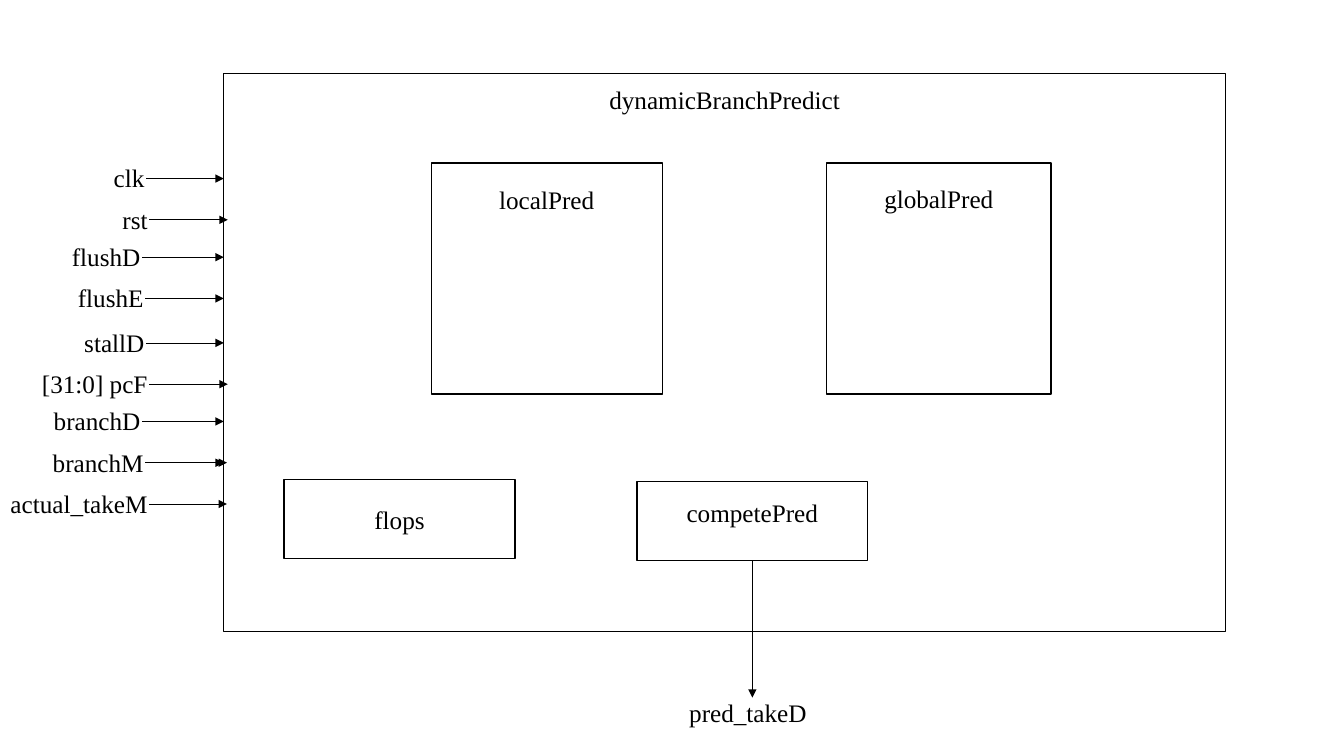
from lxml import etree
from pptx import Presentation
from pptx.dml.color import RGBColor
from pptx.enum.shapes import MSO_CONNECTOR, MSO_SHAPE
from pptx.enum.text import MSO_ANCHOR, PP_ALIGN
from pptx.oxml.ns import qn
from pptx.util import Cm, Pt

RECTANGLE = MSO_SHAPE.RECTANGLE
STRAIGHT = MSO_CONNECTOR.STRAIGHT
TOP, MIDDLE = MSO_ANCHOR.TOP, MSO_ANCHOR.MIDDLE
CENTER, RIGHT = PP_ALIGN.CENTER, PP_ALIGN.RIGHT
BOTTOM_SITE = 2

THEME = {
    "ink": RGBColor(0x00, 0x00, 0x00),
    "paper": RGBColor(0xFF, 0xFF, 0xFF),
    "font": "Times New Roman",
    "size": Pt(18),
    "box_line": Pt(1),
    "arrow_line": Pt(0.5),
}

presentation = Presentation()
presentation.slide_width, presentation.slide_height = Cm(33.87), Cm(19.05)
slide = presentation.slides.add_slide(presentation.slide_layouts[6])


def write_text(shape, text, alignment, anchor=TOP, inset=0.13):
    frame = shape.text_frame
    frame_format = {
        "word_wrap": True, "vertical_anchor": anchor, "margin_left": 0,
        "margin_top": Cm(inset), "margin_bottom": Cm(0.13),
    }
    for name, value in frame_format.items():
        setattr(frame, name, value)
    paragraph = frame.paragraphs[0]
    paragraph.alignment = alignment
    run = paragraph.add_run()
    run.text = text
    for name, value in {"name": THEME["font"], "size": THEME["size"]}.items():
        setattr(run.font, name, value)
    run.font.color.rgb = THEME["ink"]


def add_arrow(start_x, start_y, end_x, end_y):
    arrow = slide.shapes.add_connector(
        STRAIGHT, Cm(start_x), Cm(start_y), Cm(end_x), Cm(end_y))
    arrow.line.color.rgb = THEME["ink"]
    arrow.line.width = THEME["arrow_line"]
    etree.SubElement(arrow.line._get_or_add_ln(), qn("a:tailEnd"), type="triangle")
    etree.SubElement(arrow._element.spPr, qn("a:effectLst"))
    return arrow


# Module boxes: name, left, top, width, height, anchor, top inset
MODULES = [
    ("dynamicBranchPredict", 5.64, 1.85, 25.25, 14.07, TOP, 0.28),
    ("localPred", 10.87, 4.11, 5.82, 5.82, TOP, 0.53),
    ("globalPred", 20.83, 4.11, 5.66, 5.82, TOP, 0.51),
    ("competePred", 16.05, 12.14, 5.82, 1.98, TOP, 0.38),
    ("flops", 7.16, 12.09, 5.82, 1.98, MIDDLE, 0.13),
]
boxes = {}
for name, left, top, width, height, anchor, inset in MODULES:
    box = slide.shapes.add_shape(
        RECTANGLE, Cm(left), Cm(top), Cm(width), Cm(height))
    box.shadow.inherit = False
    box.fill.solid()
    box.fill.fore_color.rgb = THEME["paper"]
    box.line.color.rgb = THEME["ink"]
    box.line.width = THEME["box_line"]
    write_text(box, name, CENTER, anchor, inset)
    box.text_frame.margin_right = 0
    boxes[name] = box

# Input signals: name, arrow height, arrow start, arrow ends
INPUTS = [
    ("clk", 4.5, 3.68, [5.64]),
    ("rst", 5.54, 3.76, [5.74]),
    ("flushD", 6.48, 3.58, [5.64]),
    ("flushE", 7.52, 3.66, [5.64]),
    ("stallD", 8.64, 3.68, [5.64]),
    ("[31:0] pcF", 9.68, 3.76, [5.74]),
    ("branchD", 10.62, 3.58, [5.64]),
    ("branchM", 11.66, 3.66, [5.64, 5.72]),
    ("actual_takeM", 12.7, 3.76, [5.72]),
]
LABEL_HEIGHT = 1.09
for name, y, start, ends in INPUTS:
    label = slide.shapes.add_textbox(
        0, Cm(y - 0.53), Cm(start + 0.21), Cm(LABEL_HEIGHT))
    write_text(label, name, RIGHT)
    for end in ends:
        add_arrow(start, y, end, y)

# Output signal
output_arrow = add_arrow(18.96, 14.12, 18.96, 17.58)
output_arrow.begin_connect(boxes["competePred"], BOTTOM_SITE)
output_label = slide.shapes.add_textbox(
    Cm(15.85), Cm(17.45), Cm(6), Cm(LABEL_HEIGHT))
write_text(output_label, "pred_takeD", CENTER)
output_label.text_frame.margin_right = 0

presentation.save("out.pptx")
